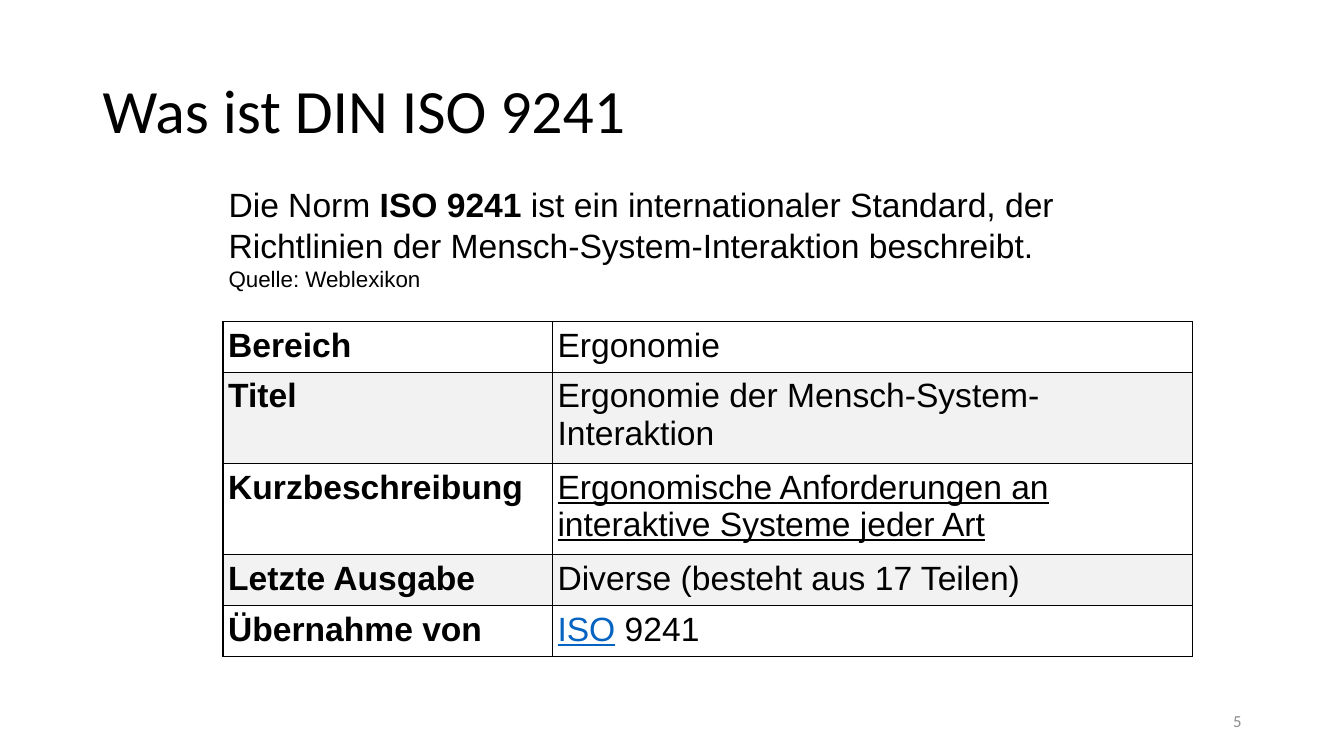
from dataclasses import dataclass

from lxml.etree import SubElement
from pptx import Presentation
from pptx.dml.color import RGBColor
from pptx.enum.text import MSO_ANCHOR, MSO_AUTO_SIZE, PP_ALIGN
from pptx.oxml.ns import qn
from pptx.util import Cm, Pt


@dataclass(frozen=True)
class Theme:
    head: str = "Calibri"
    body: str = "Arial"
    ink: str = "000000"
    link: str = "0563C1"
    band: str = "F2F2F2"
    gray: str = "8C8C8C"
    title: int = 44
    text: int = 24
    note: int = 16
    foot: int = 12


@dataclass(frozen=True)
class Span:
    text: str
    bold: bool = False
    under: bool = False
    color: str = Theme.ink
    size: int = Theme.text
    font: str = Theme.body


class Deck:
    def __init__(self, theme):
        self.theme = theme
        self.prs = Presentation()
        self.prs.slide_width, self.prs.slide_height = Cm(33.87), Cm(19.05)
        self.slide = self.prs.slides.add_slide(self.prs.slide_layouts[5])

    def place(self, shape, box):
        shape.left, shape.top, shape.width, shape.height = map(Cm, box)

    def fill_text(self, frame, paras, align=PP_ALIGN.LEFT):
        """Fill a text frame; each paragraph is a list of spans."""
        frame.word_wrap = True
        for i, spans in enumerate(paras):
            para = frame.add_paragraph() if i else frame.paragraphs[0]
            para.alignment = align
            for span in spans:
                run = para.add_run()
                run.text = span.text
                font = run.font
                font.name, font.size = span.font, Pt(span.size)
                font.bold, font.underline = span.bold, span.under
                font.color.rgb = RGBColor.from_string(span.color)

    def title(self, text, box):
        shape = self.slide.shapes.title
        self.place(shape, box)
        frame = shape.text_frame
        frame.auto_size = MSO_AUTO_SIZE.NONE
        frame.vertical_anchor = MSO_ANCHOR.MIDDLE
        span = Span(text, size=self.theme.title, font=self.theme.head)
        self.fill_text(frame, [[span]])
        frame.paragraphs[0].line_spacing = 0.9

    def text(self, paras, box, align=PP_ALIGN.LEFT, anchor=MSO_ANCHOR.TOP):
        frame = self.slide.shapes.add_textbox(*map(Cm, box)).text_frame
        frame.vertical_anchor = anchor
        self.fill_text(frame, paras, align)

    def border(self, cell):
        props = cell._tc.get_or_add_tcPr()
        for side in ("lnL", "lnR", "lnT", "lnB"):
            line = SubElement(props, qn(f"a:{side}"), w=str(Pt(1)))
            fill = SubElement(line, qn("a:solidFill"))
            SubElement(fill, qn("a:srgbClr"), val=self.theme.ink)

    def table(self, rows, left, top, widths, heights):
        box = map(Cm, (left, top, sum(widths), sum(heights)))
        grid = self.slide.shapes.add_table(len(rows), len(widths), *box).table
        for col, width in zip(grid.columns, widths):
            col.width = Cm(width)
        for i, (row, height) in enumerate(zip(rows, heights)):
            grid.rows[i].height = Cm(height)
            for j, spans in enumerate(row):
                cell = grid.cell(i, j)
                cell.margin_left = cell.margin_right = Cm(0.13)
                cell.margin_top = cell.margin_bottom = Cm(0.13)
                self.border(cell)
                if i % 2:
                    cell.fill.solid()
                    cell.fill.fore_color.rgb = RGBColor.from_string(self.theme.band)
                else:
                    cell.fill.background()
                self.fill_text(cell.text_frame, [spans])


def main():
    theme = Theme()
    deck = Deck(theme)
    deck.title("Was ist DIN ISO 9241", (2.33, 1.01, 29.21, 3.68))
    deck.text([[Span("5", color=theme.gray, size=theme.foot, font=theme.head)]],
              (23.92, 17.65, 7.62, 1.01), PP_ALIGN.RIGHT, MSO_ANCHOR.MIDDLE)
    deck.text([
        [Span("Die Norm "), Span("ISO 9241 ", bold=True),
         Span("ist ein internationaler Standard, der Richtlinien der "
              "Mensch-System-Interaktion beschreibt.")],
        [Span("Quelle: Weblexikon", size=theme.note)],
    ], (5.51, 4.52, 22.86, 3))

    facts = {
        "Bereich": [Span("Ergonomie")],
        "Titel": [Span("Ergonomie der Mensch-System-Interaktion")],
        "Kurzbeschreibung": [Span("Ergonomische Anforderungen an interaktive "
                                  "Systeme jeder Art", under=True)],
        "Letzte Ausgabe": [Span("Diverse (besteht aus 17 Teilen)")],
        "Übernahme von": [Span("ISO", under=True, color=theme.link),
                          Span(" 9241")],
    }
    rows = [([Span(name, bold=True)], spans) for name, spans in facts.items()]
    low, high = 1.28, 2.3
    deck.table(rows, 5.62, 8.1, (8.3, 16.13), (low, high, high, low, low))
    deck.prs.save("out.pptx")


if __name__ == "__main__":
    main()
